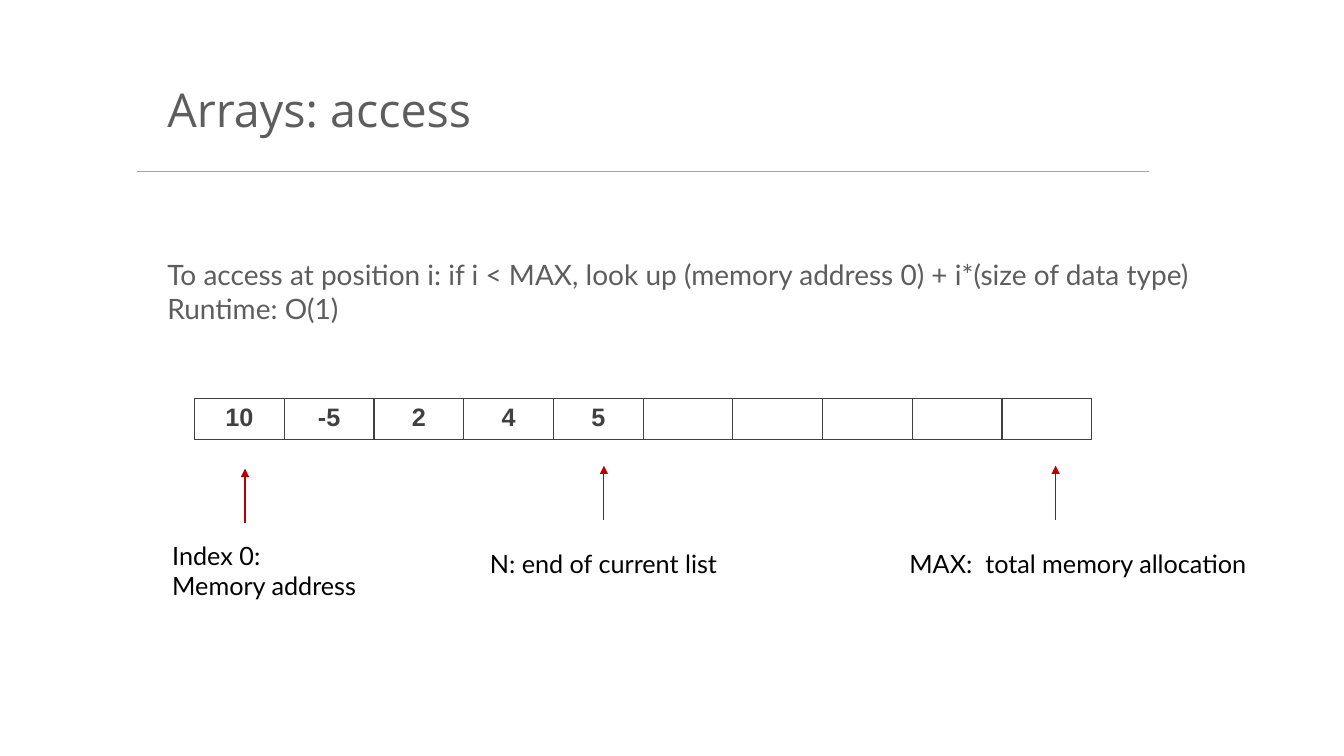
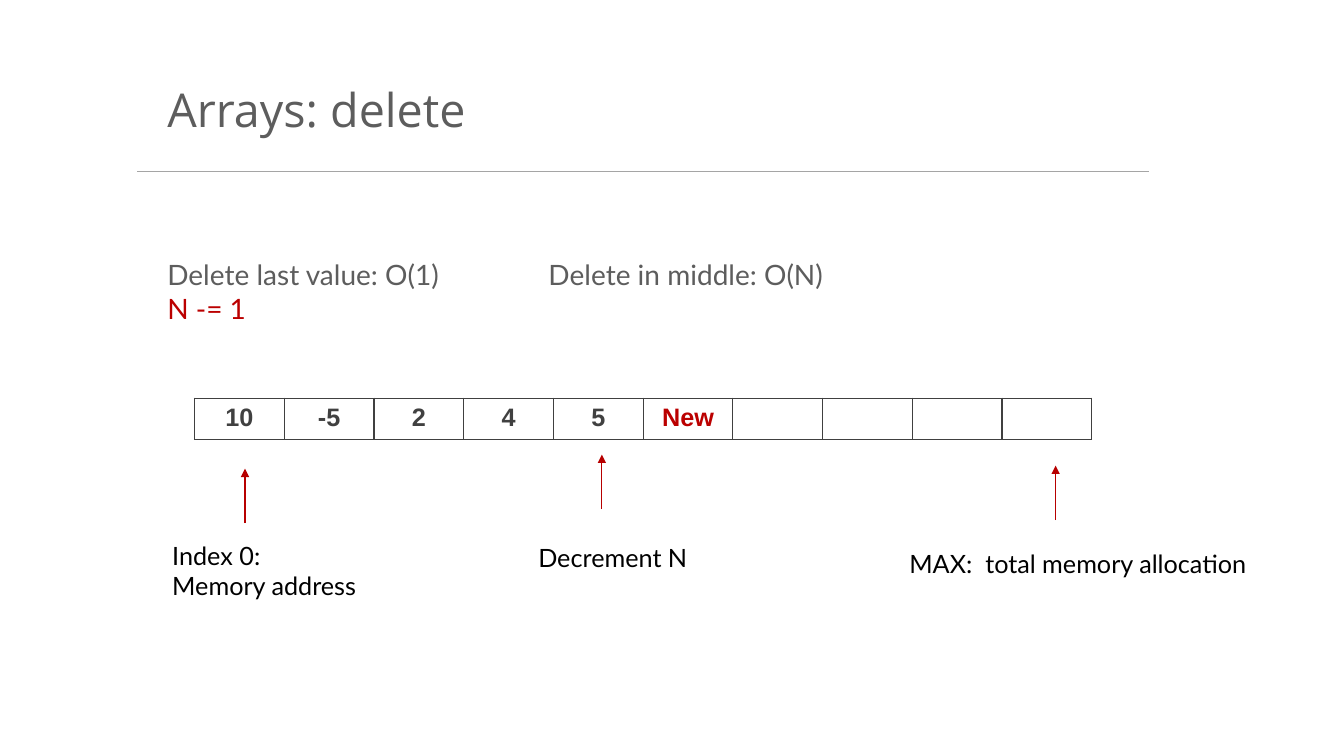
import pptx
import pptx.dml.color
import pptx.enum.shapes
import pptx.enum.text
import pptx.oxml
import pptx.oxml.ns
import pptx.util

PX = 9144  # 100 px to the inch
GREY, RULE, CELL, BLACK = "5D5D5D", "A5A5A5", "404040", "000000"
RED, ARROW = "BB0000", "B70000"
CELL_WIDTH, CELL_HEIGHT, CELL_COUNT = 89, 41, 10
ARROW_LENGTH = 54

rgb = pptx.dml.color.RGBColor.from_string


def add_text(page, left, top, width, height, lines, size, font="Lato", inset=10):
    """Add a text box from (text, colour) lines and return its text frame."""
    box = page.shapes.add_textbox(left * PX, top * PX, width * PX, height * PX)
    frame = box.text_frame
    frame.word_wrap = True
    frame.margin_left = inset * PX
    frame.margin_right = frame.margin_top = frame.margin_bottom = 5 * PX
    for number, (text, colour) in enumerate(lines):
        para = frame.paragraphs[0] if number == 0 else frame.add_paragraph()
        para.text = text
        para.font.name = font
        para.font.size = pptx.util.Pt(size)
        para.font.color.rgb = rgb(colour)
    return frame


def add_line(page, start, end, colour, points, arrow=False):
    line = page.shapes.add_connector(
        pptx.enum.shapes.MSO_CONNECTOR.STRAIGHT, *(value * PX for value in start + end))
    line.line.color.rgb = rgb(colour)
    line.line.width = pptx.util.Pt(points)
    if arrow:
        pptx.oxml.ns.qn("a:tailEnd")
        head = pptx.oxml.parse_xml(
            f'<a:tailEnd {pptx.oxml.ns.nsdecls("a")} type="triangle"/>')
        line.line._get_or_add_ln().append(head)
    line._element.spPr.append(
        pptx.oxml.parse_xml(f'<a:effectLst {pptx.oxml.ns.nsdecls("a")}/>'))


# A body is left, width, lines; a callout is arrow x, arrow tip y, text box, lines.
index_callout = (243, 465, (161, 531, 231, 101), ["Index 0:", "Memory address"])
max_callout = (1047, 462, (892, 539, 368, 40), ["MAX:  total memory allocation"])
slides = [
    {
        "title": "Arrays: access",
        "bodies": [(136, 1075, [
            ("To access at position i: if i < MAX, look up (memory address 0)"
             " + i*(size of data type)", GREY),
            ("Runtime: O(1)", GREY)])],
        "values": ["10", "-5", "2", "4", "5"],
        "callout": (599, 462, (476, 539, 248, 40), ["N: end of current list"]),
    },
    {
        "title": "Arrays: delete",
        "bodies": [
            (136, 324, [("Delete last value: O(1)", GREY), ("N -= 1", RED)]),
            (514, 324, [("Delete in middle: O(N)", GREY)])],
        "values": ["10", "-5", "2", "4", "5", "New"],
        "callout": (597, 451, (524, 533, 248, 40), ["Decrement N"]),
    },
]

deck = pptx.Presentation()
deck.slide_width, deck.slide_height = 1333 * PX, 750 * PX

for content in slides:
    page = deck.slides.add_slide(deck.slide_layouts[6])
    add_line(page, (136, 170), (1140, 170), RULE, 1)

    title = add_text(page, 136, 78, 643, 71, [(content["title"], GREY)],
                     33.3, "Open Sans", inset=30)
    title.vertical_anchor = pptx.enum.text.MSO_ANCHOR.MIDDLE
    title.paragraphs[0].line_spacing = 0.8
    title.paragraphs[0].space_before = pptx.util.Pt(10)

    for left, width, lines in content["bodies"]:
        add_text(page, left, 251, width, 116, lines, 20, inset=30)

    table = page.shapes.add_table(
        1, CELL_COUNT, 193 * PX, 395 * PX,
        CELL_COUNT * CELL_WIDTH * PX, CELL_HEIGHT * PX).table
    table.first_row = table.horz_banding = False
    for column, cell in enumerate(table.iter_cells()):
        for side in ("lnL", "lnR", "lnT", "lnB"):
            cell._tc.get_or_add_tcPr().append(pptx.oxml.parse_xml(
                f'<a:{side} {pptx.oxml.ns.nsdecls("a")} w="12700"><a:solidFill>'
                f'<a:srgbClr val="{CELL}"/></a:solidFill></a:{side}>'))
        cell.fill.background()
        if column < len(content["values"]):
            para = cell.text_frame.paragraphs[0]
            para.text = content["values"][column]
            para.alignment = pptx.enum.text.PP_ALIGN.CENTER
            para.font.name = "Arial"
            para.font.size = pptx.util.Pt(18)
            para.font.bold = True
            para.font.color.rgb = rgb(RED if para.text == "New" else CELL)

    for x, tip, place, lines in (index_callout, content["callout"], max_callout):
        add_line(page, (x, tip + ARROW_LENGTH), (x, tip), ARROW, 0.75, arrow=True)
        add_text(page, *place, [(text, BLACK) for text in lines], 18)

deck.save("out.pptx")
